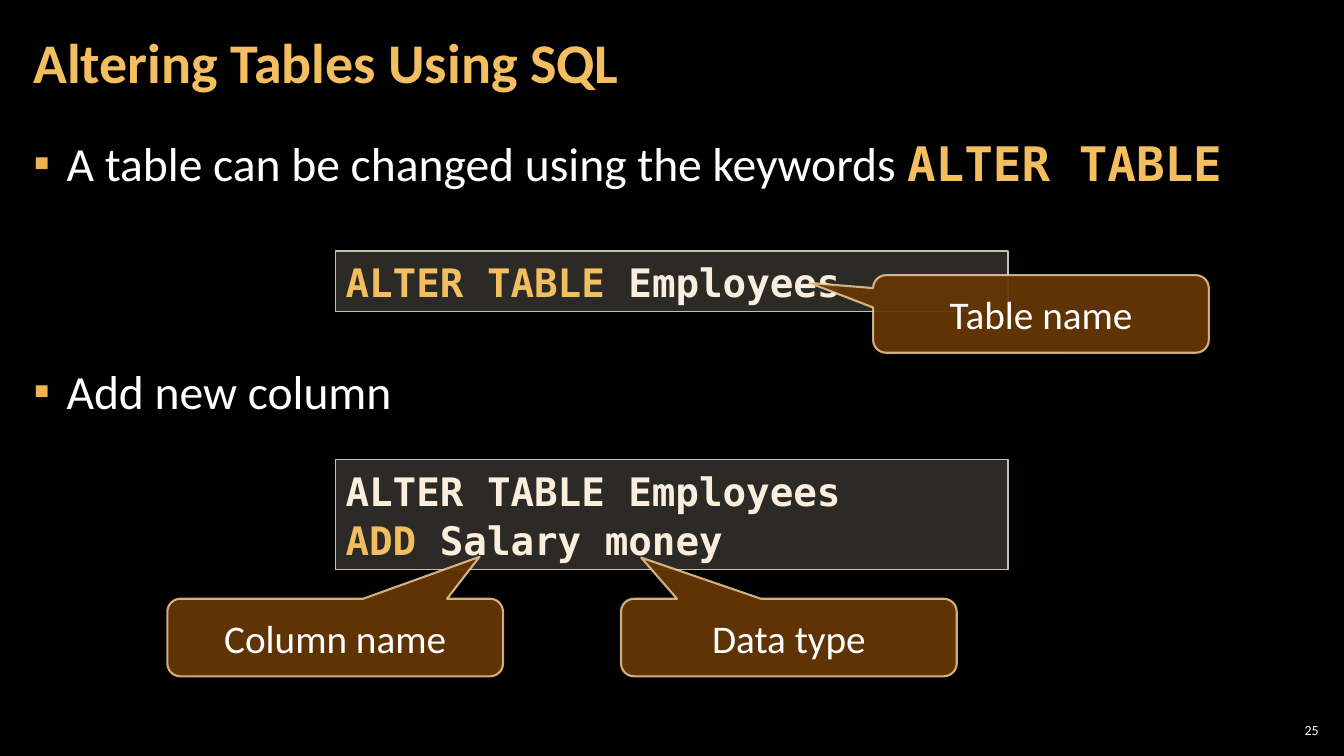
from lxml import etree
from pptx import Presentation
from pptx.dml.color import RGBColor
from pptx.enum.shapes import MSO_SHAPE
from pptx.enum.text import MSO_ANCHOR, MSO_AUTO_SIZE, PP_ALIGN
from pptx.oxml.ns import qn
from pptx.util import Inches, Pt

BLACK = RGBColor(0x00, 0x00, 0x00)
WHITE = RGBColor(0xFF, 0xFF, 0xFF)
GOLD = RGBColor(0xF3, 0xBE, 0x60)
BULLET = RGBColor(0xF2, 0xB2, 0x54)
CREAM = RGBColor(0xFB, 0xEE, 0xDC)
CODE_FILL = RGBColor(0xD9, 0xD5, 0xC7)
CODE_LINE = RGBColor(0xC7, 0xBF, 0xAC)
BROWN = RGBColor(0x66, 0x36, 0x06)
CALLOUT_LINE = RGBColor(0xF8, 0xD4, 0x9E)
SANS, MONO = "Calibri", "DejaVu Sans Mono"
RECTANGLE = MSO_SHAPE.RECTANGLE
CALLOUT = MSO_SHAPE.ROUNDED_RECTANGULAR_CALLOUT
TOP, MIDDLE = MSO_ANCHOR.TOP, MSO_ANCHOR.MIDDLE
LEFT, CENTER, RIGHT = PP_ALIGN.LEFT, PP_ALIGN.CENTER, PP_ALIGN.RIGHT
NO_FIT = MSO_AUTO_SIZE.NONE


def add_span(para, text, name, size, color, bold=False):
    span = para.add_run()
    span.text = text
    font_format = {"name": name, "size": Pt(size), "bold": bold}
    for key, value in font_format.items():
        setattr(span.font, key, value)
    span.font.color.rgb = color


def add_panel(kind, place, fill, fill_alpha, line, line_width, line_alpha):
    """Add a shape with a see-through fill and outline; alphas are percentages."""
    panel = page.shapes.add_shape(kind, *[Inches(length) for length in place])
    panel.shadow.inherit = False
    panel.fill.solid()
    panel.fill.fore_color.rgb = fill
    panel.line.color.rgb = line
    panel.line.width = Pt(line_width)
    colors = panel.element.spPr.iter(qn("a:srgbClr"))
    for color, alpha in zip(colors, (fill_alpha, line_alpha)):
        etree.SubElement(color, qn("a:alpha"), val=str(alpha * 1000))
    panel.text_frame.word_wrap = True
    return panel


deck = Presentation()
deck.slide_width, deck.slide_height = Inches(13.33), Inches(7.5)
page = deck.slides.add_slide(deck.slide_layouts[1])
page.background.fill.solid()
page.background.fill.fore_color.rgb = BLACK

# Title, bullet list and page number
title, body = page.placeholders
number = page.shapes.add_textbox(0, 0, 0, 0)
frames = [
    (title, (0.21, 0.04, 10.47, 1.21), MIDDLE, 0.12),
    (body, (0.21, 1.26, 12.91, 6.09), TOP, 0.12),
    (number, (12.65, 7.14, 0.47, 0.21), MIDDLE, 0.04),
]
for box, place, anchor, side in frames:
    box.left, box.top, box.width, box.height = [Inches(n) for n in place]
    frame_format = {
        "word_wrap": True, "auto_size": NO_FIT, "vertical_anchor": anchor,
        "margin_left": Inches(side), "margin_right": Inches(side),
        "margin_top": Inches(0.04), "margin_bottom": Inches(0.04),
    }
    for key, value in frame_format.items():
        setattr(box.text_frame, key, value)

para = title.text_frame.paragraphs[0]
para.alignment, para.line_spacing = LEFT, 0.9
add_span(para, "Altering Tables Using SQL", SANS, 40, GOLD, True)

para = number.text_frame.paragraphs[0]
para.alignment = RIGHT
add_span(para, "25", SANS, 10, WHITE)

bullets = [
    (0, [("A table can be changed using the keywords ", SANS, 34, WHITE),
         ("ALTER TABLE", MONO, 34, GOLD, True)]),
    (114, [("Add new column", SANS, 34, WHITE)]),
]
for index, (space_before, spans) in enumerate(bullets):
    frame = body.text_frame
    para = frame.add_paragraph() if index else frame.paragraphs[0]
    para.line_spacing = 1.05
    para.space_before, para.space_after = Pt(space_before), Pt(6)
    properties = para._p.get_or_add_pPr()
    properties.set("marL", str(Inches(0.33)))
    properties.set("indent", str(-Inches(0.33)))
    bullet_color = etree.SubElement(properties, qn("a:buClr"))
    etree.SubElement(bullet_color, qn("a:srgbClr"), val=str(BULLET))
    etree.SubElement(properties, qn("a:buChar"), char="▪")
    for span in spans:
        add_span(para, *span)

# Code panels
code_panels = [
    (4.56, 1.09, [[("ALTER TABLE Employees", CREAM)],
                  [("ADD", GOLD), (" Salary money", CREAM)]]),
    (2.49, 0.6, [[("ALTER TABLE ", GOLD), ("Employees", CREAM)]]),
]
for top, height, lines in code_panels:
    panel = add_panel(RECTANGLE, (3.33, top, 6.67, height),
                      CODE_FILL, 20, CODE_LINE, 1, 100)
    frame = panel.text_frame
    frame.vertical_anchor = TOP
    for index, line in enumerate(lines):
        para = frame.add_paragraph() if index else frame.paragraphs[0]
        para.alignment, para.line_spacing = LEFT, 1.05
        for text, color in line:
            add_span(para, text, MONO, 28, color, True)

# Callouts, each with its pointer tip relative to the centre
callouts = [
    ("Table name", 8.66, 2.73, (-0.69, -0.4)),
    ("Column name", 1.66, 5.94, (0.43, -1.04)),
    ("Data type", 6.16, 5.94, (-0.44, -1.03)),
]
for text, left, top, tip in callouts:
    callout = add_panel(CALLOUT, (left, top, 3.33, 0.77),
                        BROWN, 95, CALLOUT_LINE, 1.5, 80)
    callout.adjustments[0], callout.adjustments[1] = tip
    callout.text_frame.vertical_anchor = MIDDLE
    para = callout.text_frame.paragraphs[0]
    para.alignment = CENTER
    add_span(para, text, SANS, 28, WHITE)

deck.save("out.pptx")
